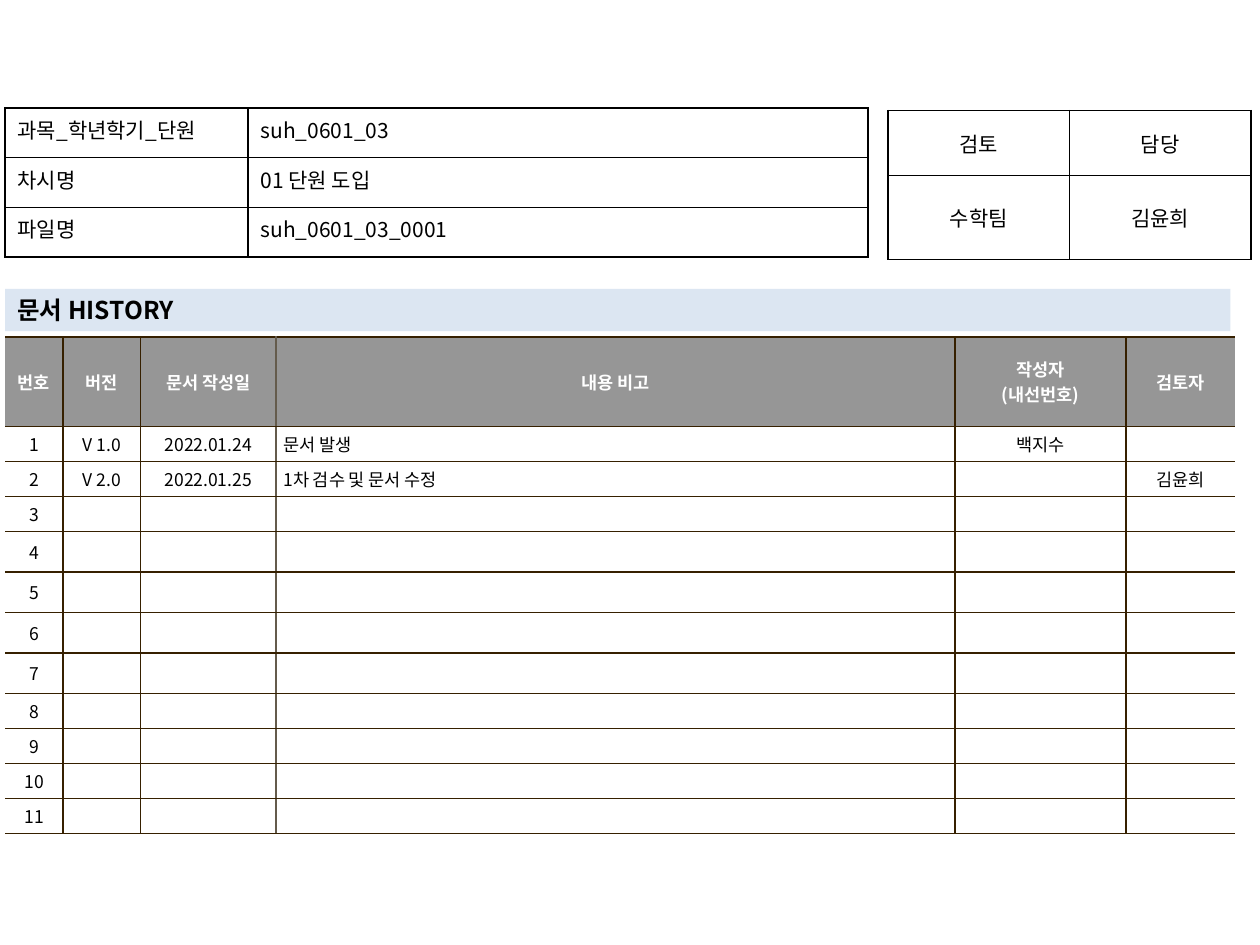
from lxml import etree
from pptx import Presentation
from pptx.dml.color import RGBColor
from pptx.enum import shapes, text
from pptx.oxml import ns
from pptx.util import Pt

FONT = "Noto Sans CJK KR"
COLORS = {"black": "000000", "white": "FFFFFF", "header": "969696",
          "band": "DCE6F2", "rule": "362000", "soft_rule": "645B4C"}
LEFT, CENTER, JUSTIFY = (text.PP_ALIGN.LEFT, text.PP_ALIGN.CENTER,
                         text.PP_ALIGN.JUSTIFY)
TOP, MIDDLE = text.MSO_ANCHOR.TOP, text.MSO_ANCHOR.MIDDLE


def rgb(name):
    return RGBColor.from_string(COLORS[name])


def set_attrs(obj, **values):
    for name, value in values.items():
        setattr(obj, name, value)


def write(tf, content, size, color="black", bold=False, align=LEFT):
    """Fill a text frame, one paragraph per line; an empty one keeps the size."""
    for i, line in enumerate(content.split("\n")):
        p = tf.paragraphs[0] if i == 0 else tf.add_paragraph()
        p.alignment = align
        if not line:
            end = etree.SubElement(p._p, ns.qn("a:endParaRPr"), sz=str(size * 100))
            for tag in ("a:latin", "a:ea"):
                etree.SubElement(end, ns.qn(tag), typeface=FONT)
            continue
        r = p.add_run()
        r.text = line
        set_attrs(r.font, name=FONT, size=Pt(size), bold=bold)
        r.font.color.rgb = rgb(color)
        etree.SubElement(r._r.get_or_add_rPr(), ns.qn("a:ea"), typeface=FONT)


def set_borders(cell, borders):
    """Draw 1 pt borders given as {side: colour name, or None for no line}."""
    tc_pr = cell._tc.get_or_add_tcPr()
    for side in "LRTB":
        ln = etree.SubElement(tc_pr, ns.qn("a:ln" + side), w=str(Pt(1)))
        color = borders[side]
        if color is None:
            etree.SubElement(ln, ns.qn("a:noFill"))
        else:
            fill = etree.SubElement(ln, ns.qn("a:solidFill"))
            etree.SubElement(fill, ns.qn("a:srgbClr"), val=COLORS[color])


def add_grid(s, x, y, widths, heights):
    tbl = s.shapes.add_table(len(heights), len(widths), Pt(x), Pt(y),
                             Pt(sum(widths)), Pt(sum(heights))).table
    set_attrs(tbl, first_row=False, horz_banding=False)
    for col, width in zip(tbl.columns, widths):
        col.width = Pt(width)
    for row, height in zip(tbl.rows, heights):
        row.height = Pt(height)
    return tbl


def set_cell(cell, borders, fill, anchor, inset_x, inset_y):
    set_borders(cell, borders)
    if fill:
        cell.fill.solid()
        cell.fill.fore_color.rgb = rgb(fill)
    else:
        cell.fill.background()
    set_attrs(cell, vertical_anchor=anchor,
              margin_left=Pt(inset_x), margin_right=Pt(inset_x),
              margin_top=Pt(inset_y), margin_bottom=Pt(inset_y))


def add_boxed_table(s, x, y, widths, heights, rows, aligns, anchor):
    tbl = add_grid(s, x, y, widths, heights)
    for i, row in enumerate(rows):
        for j, content in enumerate(row):
            cell = tbl.cell(i, j)
            set_cell(cell, dict.fromkeys("LRTB", "black"), None, anchor, 7.2, 3.6)
            write(cell.text_frame, content, 12, align=aligns[j])


def add_heading(s, x, y, w, h, content):
    sp = s.shapes.add_shape(shapes.MSO_SHAPE.RECTANGLE, Pt(x), Pt(y), Pt(w), Pt(h))
    sp.shadow.inherit = False
    sp.fill.solid()
    sp.fill.fore_color.rgb = rgb("band")
    sp.line.fill.background()
    set_attrs(sp.text_frame, word_wrap=True, vertical_anchor=MIDDLE,
              margin_top=Pt(1.8), margin_bottom=Pt(1.8))
    write(sp.text_frame, content, 14, bold=True)


def add_history(s, x, y, widths, heights, header, entries):
    tbl = add_grid(s, x, y, widths, heights)
    note_col = header.index("내용 비고")
    last = len(widths) - 1
    # Vertical rules from left to right; the outer sides stay open.
    rules = [None] + ["rule"] * last + [None]
    rules[note_col] = "soft_rule"
    for i in range(len(heights)):
        is_header = i == 0
        if is_header:
            row = header
        else:
            row = [str(i)] + entries.get(i, [""] * last)
        for j, content in enumerate(row):
            cell = tbl.cell(i, j)
            borders = {"L": rules[j], "R": rules[j + 1], "T": "rule", "B": "rule"}
            set_cell(cell, borders, "header" if is_header else "white",
                     MIDDLE, 4.3, 2.75)
            write(cell.text_frame, content, 10,
                  color="white" if is_header else "black", bold=is_header,
                  align=LEFT if j == note_col and not is_header else CENTER)


def main():
    prs = Presentation()
    set_attrs(prs, slide_width=Pt(720), slide_height=Pt(540))
    s = prs.slides.add_slide(prs.slide_layouts[6])
    left = 2.9

    add_history(
        s, left, 192.7, [33.1, 44.3, 77.4, 388, 97.7, 62.6],
        [50.9] + [20.05] * 3 + [23.15] * 4 + [20.05] * 4,
        ["번호", "버전", "문서 작성일", "내용 비고", "작성자\n(내선번호)", "검토자"],
        {1: ["V 1.0", "2022.01.24", "문서 발생", "백지수", ""],
         2: ["V 2.0", "2022.01.25", "1차 검수 및 문서 수정", "", "김윤희"]})
    add_boxed_table(s, 507.5, 63.2, [103.7] * 2, [37, 48],
                    [["검토", "담당"], ["수학팀", "김윤희"]],
                    [CENTER, CENTER], MIDDLE)
    add_heading(s, left, 165.1, 700.2, 24.2, "문서 HISTORY")
    add_boxed_table(s, left, 61.7, [138.8, 354.4], [28.4] * 3,
                    [["과목_학년학기_단원", "suh_0601_03"],
                     ["차시명", "01 단원 도입"],
                     ["파일명", "suh_0601_03_0001"]],
                    [JUSTIFY, LEFT], TOP)
    prs.save("out.pptx")


if __name__ == "__main__":
    main()
